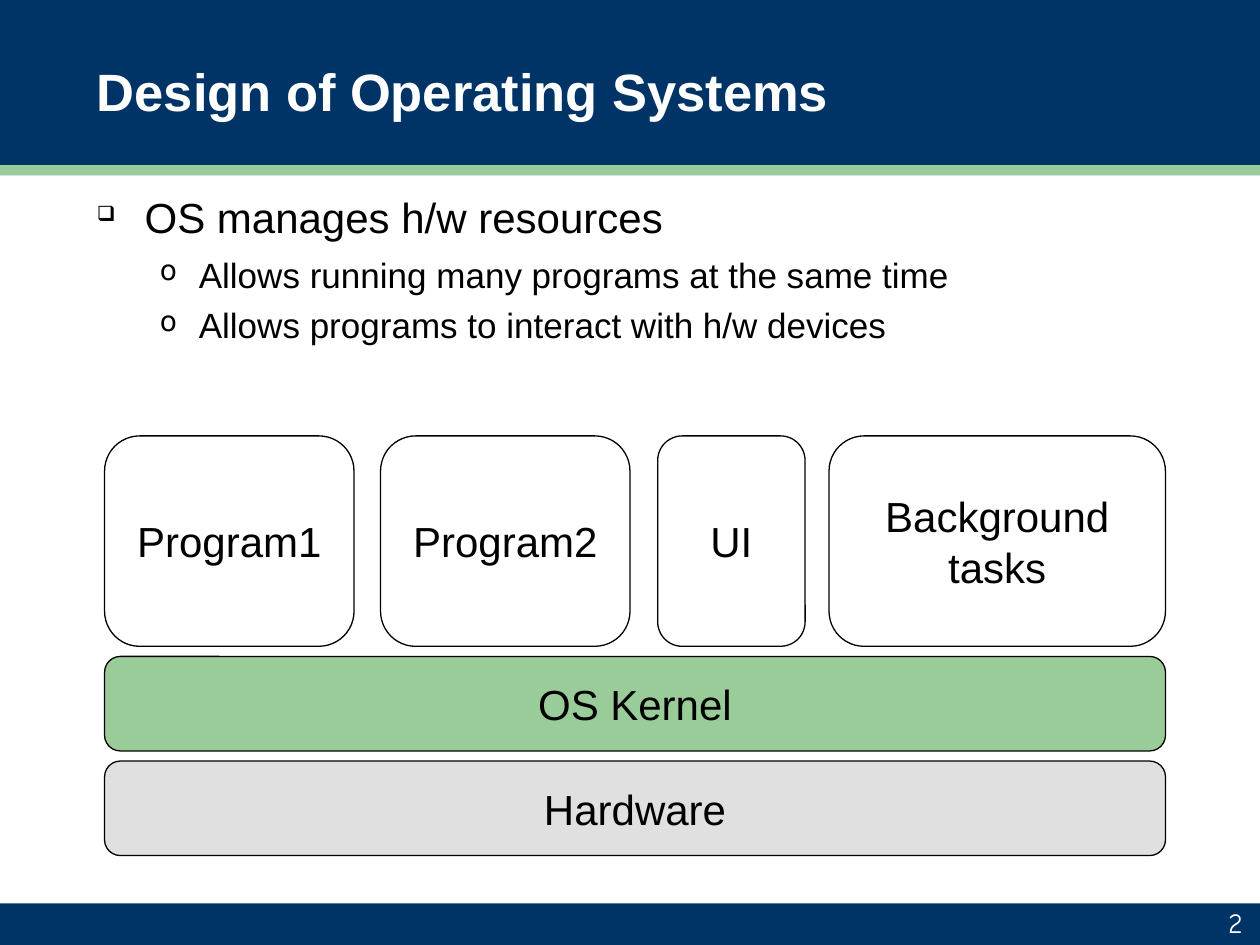
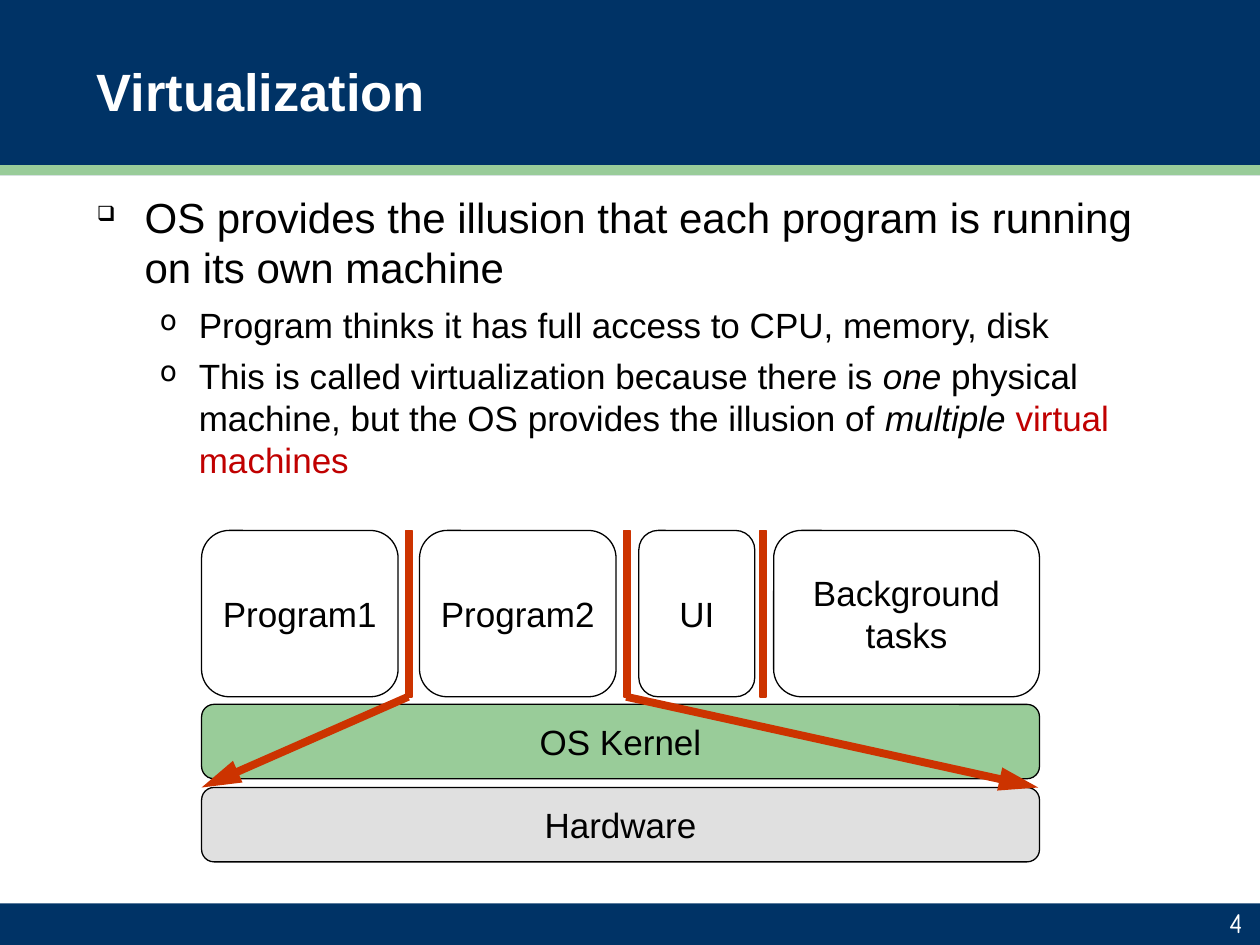
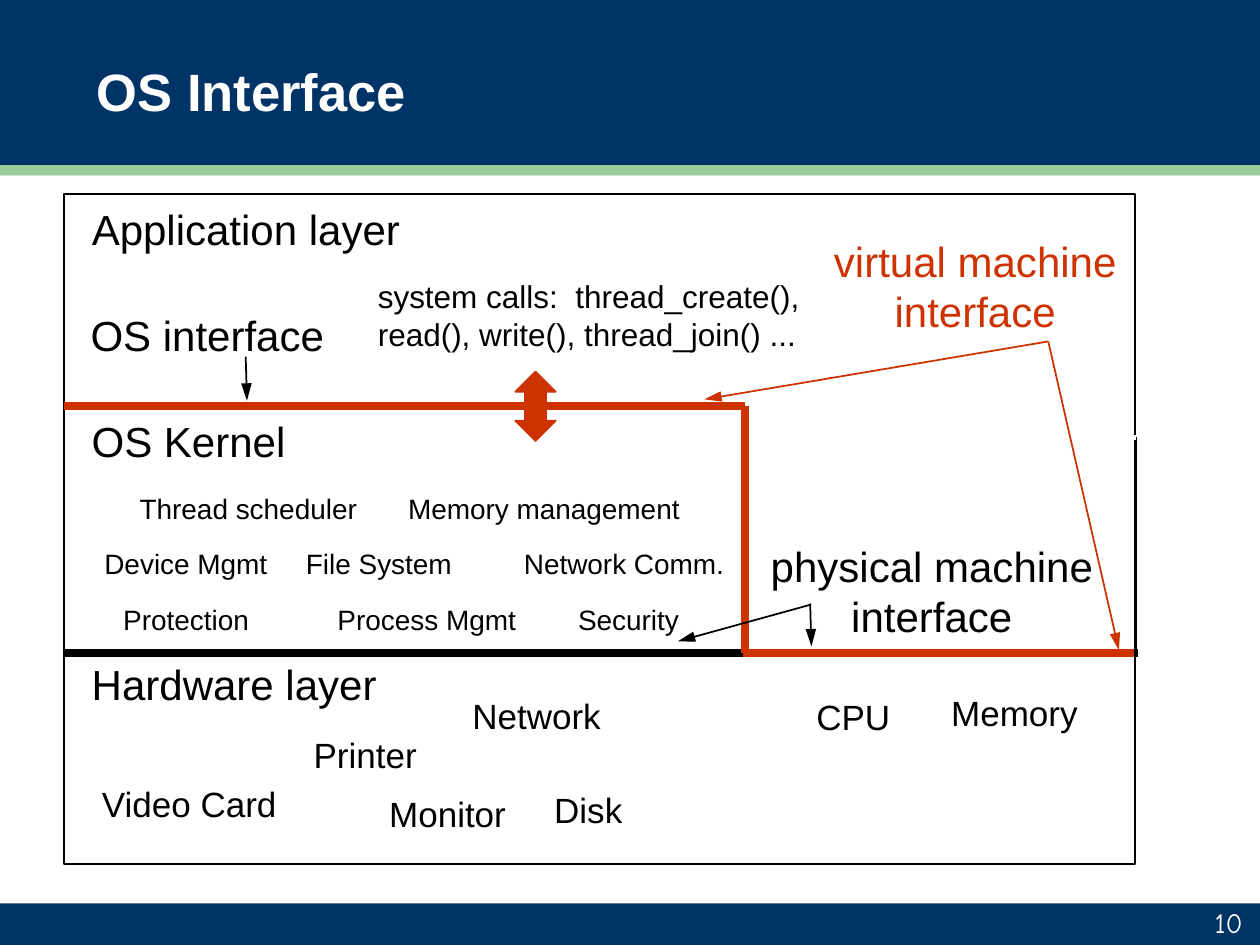
from dataclasses import dataclass

from lxml.etree import SubElement
from pptx import Presentation
from pptx.dml.color import RGBColor
from pptx.enum.shapes import MSO_CONNECTOR, MSO_SHAPE
from pptx.enum.text import MSO_ANCHOR, MSO_AUTO_SIZE, PP_ALIGN
from pptx.oxml.ns import qn
from pptx.util import Emu, Pt

EMU_PER_PX = 9144  # 100 px to the inch
NAVY, GREEN, GRAY = "003366", "99CC99", "E0E0E0"
BLACK, WHITE, RED, CRIMSON = "000000", "FFFFFF", "CC3300", "C00000"
FONT, NUMBER_FONT = "Arial", "Comic Neue"
LEFT, CENTER, RIGHT = PP_ALIGN.LEFT, PP_ALIGN.CENTER, PP_ALIGN.RIGHT


@dataclass(frozen=True)
class Span:
    text: str
    italic: bool = False
    color: str = BLACK


@dataclass(frozen=True)
class Level:
    size: int
    margin: int
    hanging: int
    before: float
    after: float
    bullet: str
    bullet_percent: int


@dataclass(frozen=True)
class Block:
    text: str
    left: int
    top: int
    width: int
    height: int
    fill: str = WHITE


@dataclass(frozen=True)
class Label:
    text: str
    left: int
    top: int
    width: int
    size: int
    color: str = BLACK
    align: PP_ALIGN = LEFT
    wrap: bool = True
    lines: int = 1

    @property
    def height(self) -> int:
        return round(self.lines * self.size * 1.2 / 72 * 100) + 10


@dataclass(frozen=True)
class Stroke:
    start: tuple[int, int]
    end: tuple[int, int]
    color: str
    weight: float = 1
    arrow: bool = False


LEVELS = (
    Level(24, 38, 38, 0, 2.4, "❑", 50),
    Level(20, 81, 31, 4, 1, "o", 80),
)

STACK_LEFT, STACK_TOP = 83, 346
STACK = (
    Block("Hardware", 83, 604, 842, 75, GRAY),
    Block("OS Kernel", 83, 521, 842, 75, GREEN),
    Block("Program1", 83, 346, 198, 167),
    Block("Program2", 302, 346, 198, 167),
    Block("UI", 522, 346, 117, 167),
    Block("Background tasks", 658, 346, 267, 167),
)

SERVICE_ROWS = {
    385: (("Thread scheduler", 101, 199), ("Memory management", 314, 255)),
    429: (("Device Mgmt", 73, 159), ("File System", 233, 171), ("Network Comm.", 406, 201)),
    473: (("Protection", 88, 160), ("Process Mgmt", 258, 181), ("Security", 449, 160)),
}
DEVICES = (
    ("Video Card", 71, 616, 159),
    ("CPU", 638, 547, 79),
    ("Monitor", 299, 624, 113),
    ("Printer", 239, 577, 102),
    ("Disk", 430, 621, 74),
    ("Memory", 745, 544, 122),
    ("Network", 365, 546, 122),
)
CAPTIONS = (
    Label("Application layer", 63, 157, 265, 24, wrap=False),
    Label("OS interface", 9, 241, 311, 24, align=CENTER),
    Label("OS Kernel", 63, 325, 307, 24),
    Label("Hardware layer", 63, 518, 247, 24, wrap=False),
    Label("system calls:  thread_create(), read(), write(), thread_join() ...",
          290, 215, 378, 18, lines=2),
    Label("virtual machine interface", 636, 182, 276, 24, RED, CENTER, lines=2),
    Label("physical machine interface", 584, 424, 311, 24, align=CENTER, lines=2),
)
BOUNDARIES = (
    Stroke((902, 347), (902, 517), BLACK),
    Stroke((591, 347), (902, 347), WHITE, 3),
    Stroke((51, 322), (591, 322), RED, 4.5),
    Stroke((591, 322), (591, 518), RED, 4.5),
    Stroke((590, 518), (900, 518), RED, 4.5),
)
POINTERS = (
    Stroke((832, 271), (559, 317), RED, arrow=True),
    Stroke((832, 271), (888, 516), RED, arrow=True),
    Stroke((643, 480), (538, 509), BLACK, arrow=True),
    Stroke((643, 479), (644, 513), BLACK, arrow=True),
    Stroke((195, 283), (196, 318), BLACK, arrow=True),
)


def px(length: float) -> Emu:
    return Emu(round(length * EMU_PER_PX))


def rgb(color: str) -> RGBColor:
    return RGBColor.from_string(color)


def add_span(para, text: str, *, size: int, color: str = BLACK, font: str = FONT,
             bold: bool = False, italic: bool = False) -> None:
    span = para.add_run()
    span.text = text
    span.font.name = font
    span.font.size = Pt(size)
    span.font.bold = bold
    span.font.italic = italic
    span.font.color.rgb = rgb(color)


def write_text(shape, text: str, *, align: PP_ALIGN = LEFT,
               anchor: MSO_ANCHOR = MSO_ANCHOR.TOP, wrap: bool = True, **style) -> None:
    frame = shape.text_frame
    frame.word_wrap = wrap
    if not wrap:
        frame.auto_size = MSO_AUTO_SIZE.SHAPE_TO_FIT_TEXT
    frame.vertical_anchor = anchor
    para = frame.paragraphs[0]
    para.alignment = align
    add_span(para, text, **style)


def add_text_box(page, left: int, top: int, width: int, height: int):
    return page.shapes.add_textbox(px(left), px(top), px(width), px(height))


def add_shape(page, left: int, top: int, width: int, height: int, *,
              kind: MSO_SHAPE = MSO_SHAPE.RECTANGLE, fill: str | None = None,
              line: str | None = None, weight: float = 1):
    shape = page.shapes.add_shape(kind, px(left), px(top), px(width), px(height))
    shape.shadow.inherit = False
    if fill:
        shape.fill.solid()
        shape.fill.fore_color.rgb = rgb(fill)
    else:
        shape.fill.background()
    if line:
        shape.line.color.rgb = rgb(line)
        shape.line.width = Pt(weight)
    else:
        shape.line.fill.background()
    return shape


def add_stroke(page, stroke: Stroke) -> None:
    connector = page.shapes.add_connector(
        MSO_CONNECTOR.STRAIGHT, *map(px, stroke.start + stroke.end))
    connector.line.color.rgb = rgb(stroke.color)
    connector.line.width = Pt(stroke.weight)
    if stroke.arrow:
        SubElement(connector.line._get_or_add_ln(), qn("a:tailEnd"),
                   type="triangle", w="med", len="lg")
    SubElement(connector._element.spPr, qn("a:effectLst"))


def add_label(page, label: Label) -> None:
    box = add_text_box(page, label.left, label.top, label.width, label.height)
    write_text(box, label.text, size=label.size, color=label.color,
               align=label.align, wrap=label.wrap)


def add_page(deck, title: str, number: int):
    """Add a page with its bands, title and number."""
    page = deck.slides.add_slide(deck.slide_layouts[6])
    for top, height, color in ((0, 139, NAVY), (131, 8, GREEN), (717, 33, NAVY)):
        add_shape(page, 0, top, 1000, height, fill=color)
    write_text(add_text_box(page, 67, 5, 867, 133), title, size=30, color=WHITE,
               bold=True, anchor=MSO_ANCHOR.MIDDLE)
    write_text(add_text_box(page, 788, 718, 208, 32), str(number), size=16, color=WHITE,
               font=NUMBER_FONT, align=RIGHT, anchor=MSO_ANCHOR.BOTTOM)
    return page


def set_bullet(para, level: Level) -> None:
    properties = para._p.get_or_add_pPr()
    properties.set("marL", str(px(level.margin)))
    properties.set("indent", str(px(-level.hanging)))
    color = SubElement(properties, qn("a:buClr"))
    SubElement(color, qn("a:srgbClr"), val=BLACK)
    SubElement(properties, qn("a:buSzPct"), val=str(level.bullet_percent * 1000))
    SubElement(properties, qn("a:buChar"), char=level.bullet)


def add_bullets(page, *items: tuple[Span, ...]) -> None:
    """Write the first item as the main point and the others below it."""
    frame = add_text_box(page, 67, 147, 867, 567).text_frame
    frame.word_wrap = True
    for index, spans in enumerate(items):
        para = frame.add_paragraph() if index else frame.paragraphs[0]
        depth = min(index, 1)
        level = LEVELS[depth]
        para.level = depth
        para.space_before = Pt(level.before)
        para.space_after = Pt(level.after)
        set_bullet(para, level)
        for span in spans:
            add_span(para, span.text, size=level.size, italic=span.italic, color=span.color)


def add_stack(page, left: int, top: int, scale: float, size: int) -> None:
    for block in STACK:
        shape = add_shape(
            page,
            round(left + (block.left - STACK_LEFT) * scale),
            round(top + (block.top - STACK_TOP) * scale),
            round(block.width * scale),
            round(block.height * scale),
            kind=MSO_SHAPE.ROUNDED_RECTANGLE, fill=block.fill, line=BLACK, weight=0.75)
        write_text(shape, block.text, size=size, align=CENTER, anchor=MSO_ANCHOR.MIDDLE)


def build_design(deck) -> None:
    page = add_page(deck, "Design of Operating Systems", 2)
    add_bullets(
        page,
        (Span("OS manages h/w resources"),),
        (Span("Allows running many programs at the same time"),),
        (Span("Allows programs to interact with h/w devices"),))
    add_stack(page, STACK_LEFT, STACK_TOP, 1, 24)


def build_virtualization(deck) -> None:
    page = add_page(deck, "Virtualization", 4)
    add_bullets(
        page,
        (Span("OS provides the illusion that each program is running on its own machine"),),
        (Span("Program thinks it has full access to CPU, memory, disk"),),
        (Span("This is called virtualization because there is "),
         Span("one", italic=True),
         Span(" physical machine, but the OS provides the illusion of "),
         Span("multiple ", italic=True),
         Span("virtual machines", color=CRIMSON)))
    add_stack(page, 160, 421, 0.79, 20)
    for wall_left in (322, 495, 603):
        add_shape(page, wall_left, 421, 5, 132, fill=RED, line=RED)
    for start_x, end_x in ((324, 160), (497, 824)):
        add_stroke(page, Stroke((start_x, 553), (end_x, 625), RED, 4.5, arrow=True))


def build_interface(deck) -> None:
    page = add_page(deck, "OS Interface", 10)
    add_stroke(page, Stroke((51, 518), (903, 518), BLACK, 4.5))
    for top, height in ((154, 363), (517, 169)):
        add_shape(page, 51, top, 850, height, line=BLACK)
    for boundary in BOUNDARIES:
        add_stroke(page, boundary)
    add_system_call_arrow(page)
    for caption in CAPTIONS:
        add_label(page, caption)
    for top, services in SERVICE_ROWS.items():
        for text, left, width in services:
            add_label(page, Label(text, left, top, width, 16))
    for text, left, top, width in DEVICES:
        add_label(page, Label(text, left, top, width, 20, wrap=False))
    for pointer in POINTERS:
        add_stroke(page, pointer)


def add_system_call_arrow(page) -> None:
    arrow = add_shape(page, 409, 295, 32, 55, kind=MSO_SHAPE.UP_DOWN_ARROW,
                      fill=RED, line=RED)
    arrow.adjustments[0] = 0.5
    arrow.adjustments[1] = 0.52


def main() -> None:
    deck = Presentation()
    deck.slide_width, deck.slide_height = px(1000), px(750)
    build_design(deck)
    build_virtualization(deck)
    build_interface(deck)
    deck.save("out.pptx")


if __name__ == "__main__":
    main()
